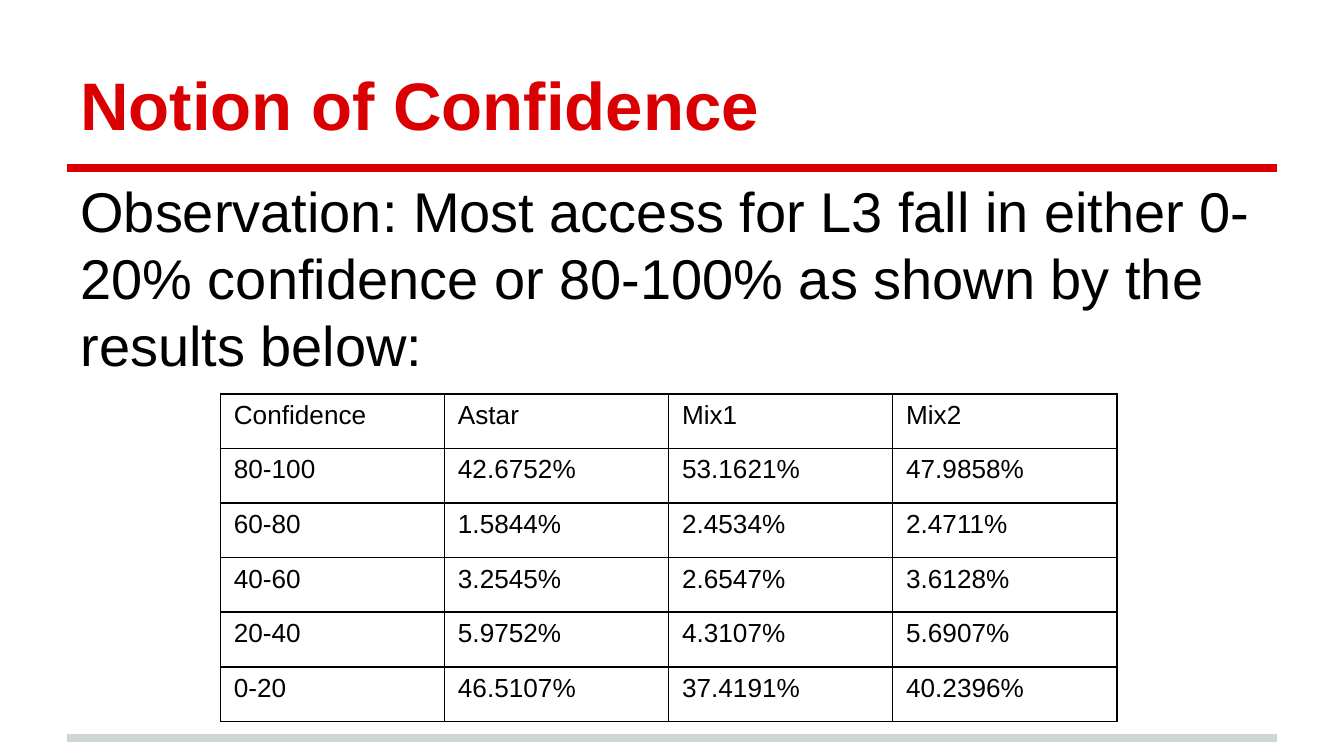
from lxml import etree
from pptx import Presentation
from pptx.dml.color import RGBColor
from pptx.enum.shapes import MSO_CONNECTOR
from pptx.enum.text import MSO_ANCHOR
from pptx.oxml.ns import qn
from pptx.util import Inches, Pt

FONT = "Arial"
RED, GRAY, BLACK = "DA0002", "CFD4D4", "000000"
LEFT, WIDTH = 0.5, 9

RESULTS = [
    ["Confidence ", "Astar", "Mix1", "Mix2"],
    ["80-100", "42.6752%", "53.1621%", "47.9858%"],
    ["60-80", "1.5844%", "2.4534%", "2.4711%"],
    ["40-60", "3.2545%", "2.6547%", "3.6128%"],
    ["20-40", "5.9752%", "4.3107%", "5.6907%"],
    ["0-20", "46.5107%", "37.4191%", "40.2396%"],
]


def color(hex_value):
    return RGBColor.from_string(hex_value)


def style(paragraph, size, hex_value, bold=False):
    font = paragraph.font
    font.name, font.size, font.bold = FONT, Pt(size), bold
    font.color.rgb = color(hex_value)


def add_rule(slide, left, top, width, hex_value):
    rule = slide.shapes.add_connector(
        MSO_CONNECTOR.STRAIGHT, Inches(left), Inches(top),
        Inches(left + width), Inches(top))
    rule.line.color.rgb = color(hex_value)
    rule.line.width = Pt(4)
    etree.SubElement(rule._element.spPr, qn("a:effectLst"))


def add_text(slide, box, text, size, hex_value, bold=False,
             anchor=MSO_ANCHOR.TOP):
    shape = slide.shapes.add_textbox(*map(Inches, box))
    frame = shape.text_frame
    frame.word_wrap = True
    frame.vertical_anchor = anchor
    frame.margin_left = frame.margin_right = Inches(0.1)
    frame.margin_top = frame.margin_bottom = Inches(0.1)
    paragraph = frame.paragraphs[0]
    paragraph.text = text
    style(paragraph, size, hex_value, bold)
    return paragraph


def add_borders(cell, hex_value, width):
    properties = cell._tc.get_or_add_tcPr()
    for position, side in enumerate(("lnL", "lnR", "lnT", "lnB")):
        line = etree.Element(qn(f"a:{side}"), w=str(Pt(width)))
        fill = etree.SubElement(line, qn("a:solidFill"))
        etree.SubElement(fill, qn("a:srgbClr"), val=hex_value)
        properties.insert(position, line)


def add_results_table(slide, box, rows):
    left, top, width, height = map(Inches, box)
    table = slide.shapes.add_table(
        len(rows), len(rows[0]), left, top, width, height).table
    table.first_row = table.horz_banding = False
    for row_index, row in enumerate(rows):
        for column_index, value in enumerate(row):
            cell = table.cell(row_index, column_index)
            cell.text = value
            cell.fill.background()
            style(cell.text_frame.paragraphs[0], 14, BLACK)
            add_borders(cell, BLACK, 1)


def build_slide(presentation):
    slide = presentation.slides.add_slide(presentation.slide_layouts[6])

    # Footer and header rules
    add_rule(slide, LEFT, 5.49, WIDTH, GRAY)
    add_rule(slide, LEFT, 1.25, WIDTH, RED)

    # Title and observation
    add_text(slide, (LEFT, 0.23, WIDTH, 0.94), "Notion of Confidence",
             36, RED, bold=True, anchor=MSO_ANCHOR.BOTTOM)
    observation = add_text(
        slide, (LEFT, 1.21, WIDTH, 1.62),
        "Observation: Most access for L3 fall in either 0-20% confidence "
        "or 80-100% as shown by the results below:", 30, BLACK)
    observation.space_before = Pt(2.5)

    # Confidence results
    add_results_table(slide, (1.64, 2.93, 6.67, 2.44), RESULTS)


presentation = Presentation()
presentation.slide_width = Inches(10)
presentation.slide_height = Inches(10 * 9 / 16)
build_slide(presentation)
presentation.save("out.pptx")
